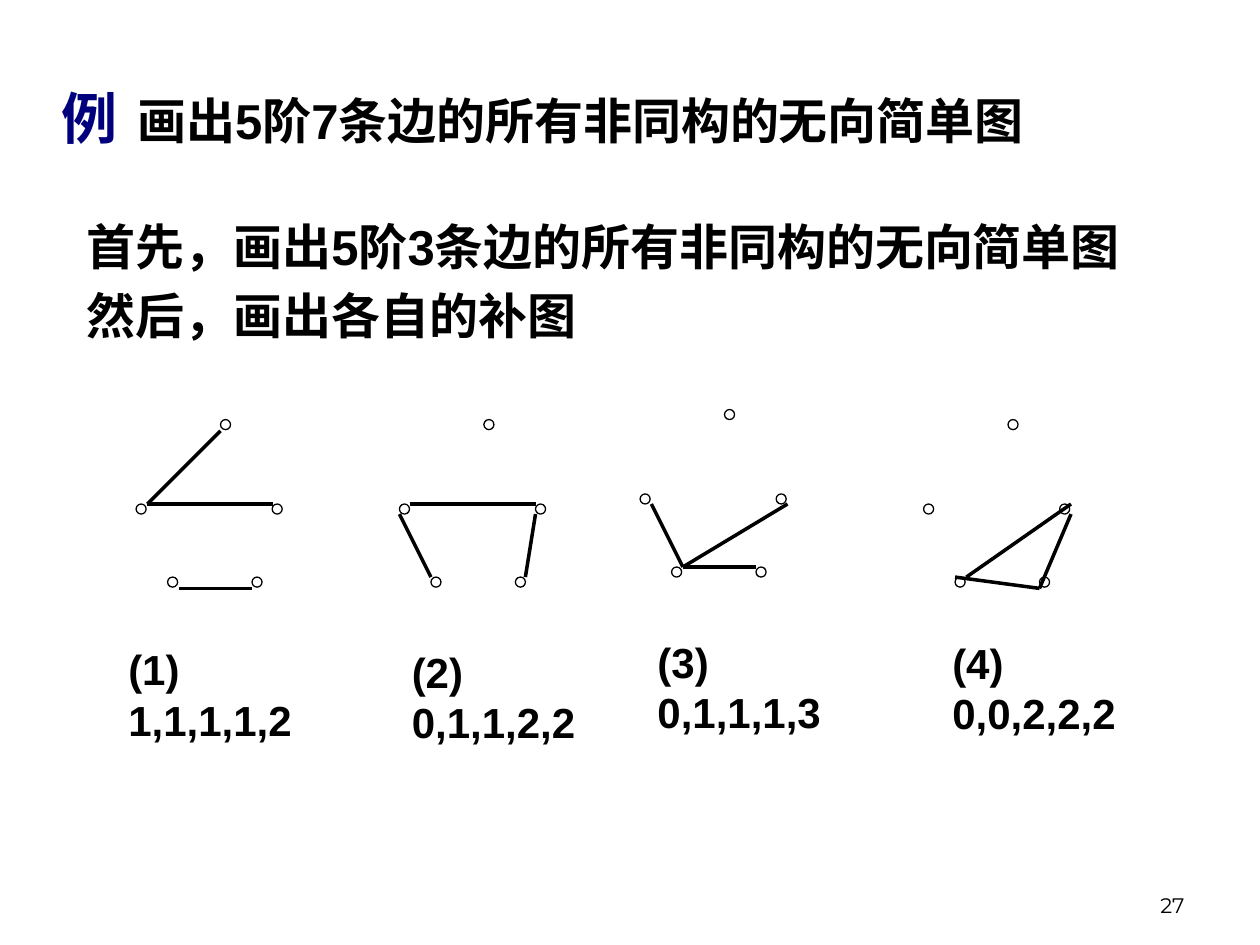
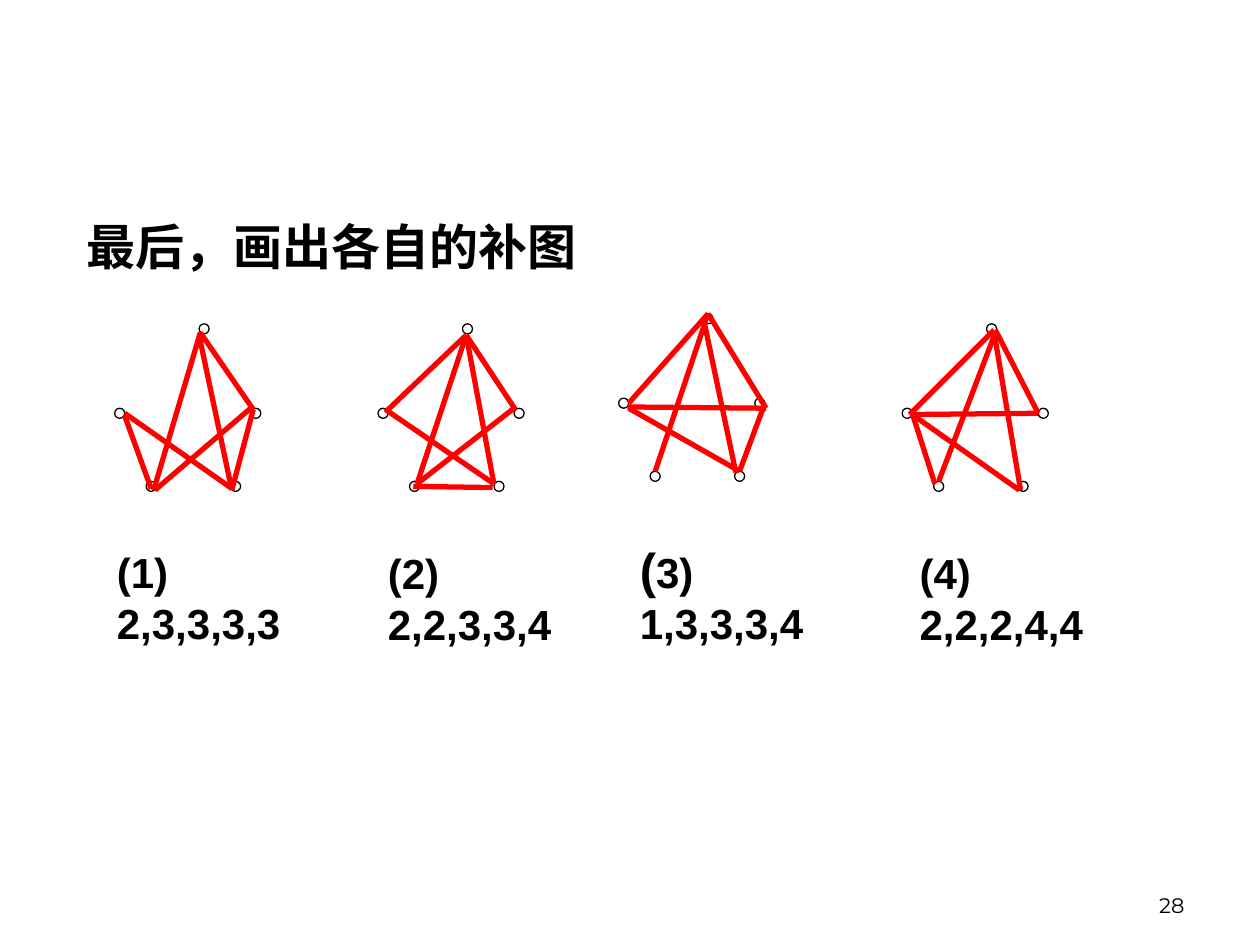
from dataclasses import dataclass

from lxml.etree import SubElement
from pptx import Presentation
from pptx.dml.color import RGBColor
from pptx.enum.shapes import MSO_CONNECTOR, MSO_SHAPE
from pptx.enum.text import MSO_ANCHOR, MSO_AUTO_SIZE as FIT, PP_ALIGN as ALIGN
from pptx.oxml.ns import qn
from pptx.util import Pt

PX = 9144  # 100 px to the inch
BLACK = RGBColor(0x00, 0x00, 0x00)
NAVY = RGBColor(0x00, 0x00, 0x7D)
RED = RGBColor(0xFF, 0x00, 0x00)
BODY_FONT, NUMBER_FONT = "Arial", "Montserrat"
TITLE_ONLY = 5

VERTEX_SIZE = 8
# Vertices relative to a graph's origin: top, left, right, lower left, lower right
VERTICES = [(67, 0), (0, 67), (108, 67), (25, 125), (92, 125)]
ORIGINS = [(108, 333), (317, 333), (508, 325), (733, 333)]
COMPLEMENT_SHIFT = (-17, -76)
LABEL_SIZE = (167, 90)


@dataclass(frozen=True)
class Part:
    """A stretch of text in one format."""
    text: str
    size: int
    color: RGBColor = BLACK


@dataclass(frozen=True)
class Graph:
    label: list[Part]
    label_at: tuple[int, int]
    edges: list[tuple[int, int, int, int]]  # x1, y1, x2, y2


def label(text: str) -> list[Part]:
    return [Part(text, 24)]


GRAPHS = [
    Graph(label("(1) 1,1,1,1,2"), (92, 506),
          [(175, 342, 117, 400), (117, 400, 217, 400), (142, 467, 200, 467)]),
    Graph(label("(2) 0,1,1,2,2"), (317, 508),
          [(325, 400, 425, 400), (425, 408, 417, 458), (317, 408, 342, 458)]),
    Graph(label("(3) 0,1,1,1,3"), (512, 500),
          [(517, 400, 542, 450), (542, 450, 600, 450), (542, 450, 625, 400)]),
    Graph(label("(4) 0,0,2,2,2"), (746, 501),
          [(767, 458, 850, 400), (850, 408, 825, 467), (825, 467, 758, 458)]),
]

COMPLEMENTS = [
    Graph(label("(1) 2,3,3,3,3"), (83, 429),
          [(99, 330, 120, 388), (201, 325, 184, 389), (159, 264, 201, 325),
           (159, 264, 122, 389), (158, 266, 184, 389), (99, 328, 183, 387),
           (123, 389, 199, 324)]),
    Graph(label("(2) 2,2,3,3,4"), (298, 430),
          [(370, 266, 306, 327), (370, 266, 409, 325), (328, 386, 391, 387),
           (370, 266, 331, 384), (370, 266, 392, 384), (306, 325, 392, 384),
           (331, 384, 408, 324)]),
    Graph([Part("(", 28), Part("3) 1,3,3,3,4", 24)], (498, 423),
          [(562, 249, 499, 320), (562, 249, 608, 324), (606, 323, 587, 374),
           (498, 323, 608, 324), (562, 249, 520, 374), (559, 256, 584, 375),
           (499, 324, 587, 374)]),
    Graph(label("(4) 2,2,2,4,4"), (720, 430),
          [(789, 262, 722, 329), (724, 328, 742, 384), (790, 262, 824, 328),
           (723, 329, 824, 328), (790, 264, 745, 382), (789, 264, 810, 389),
           (724, 329, 809, 389)]),
]


def write(frame, *paragraphs: list[Part], font: str = BODY_FONT, bold: bool = True,
          align: ALIGN = ALIGN.LEFT, anchor: MSO_ANCHOR = MSO_ANCHOR.TOP,
          fit: FIT = FIT.SHAPE_TO_FIT_TEXT, space_before: int = 0,
          tab: int | None = None) -> None:
    frame.word_wrap = True
    frame.auto_size = fit
    frame.vertical_anchor = anchor
    for index, parts in enumerate(paragraphs):
        paragraph = frame.add_paragraph() if index else frame.paragraphs[0]
        paragraph.alignment = align
        paragraph.space_before = Pt(space_before if index else 0)
        if tab is not None:
            stops = SubElement(paragraph._p.get_or_add_pPr(), qn("a:tabLst"))
            SubElement(stops, qn("a:tab"), pos=str(tab * PX), algn="l")
        for part in parts:
            run = paragraph.add_run()
            run.text = part.text
            run.font.name = font
            run.font.size = Pt(part.size)
            run.font.bold = bold
            run.font.color.rgb = part.color


def add_text(slide, left: int, top: int, width: int, height: int,
             *paragraphs: list[Part], **text_format) -> None:
    box = slide.shapes.add_textbox(left * PX, top * PX, width * PX, height * PX)
    write(box.text_frame, *paragraphs, **text_format)


def add_slide(prs, number: int, title: list[Part], left: int, top: int,
              width: int, height: int, **text_format):
    slide = prs.slides.add_slide(prs.slide_layouts[TITLE_ONLY])
    heading = slide.shapes.title
    heading.left, heading.top = left * PX, top * PX
    heading.width, heading.height = width * PX, height * PX
    write(heading.text_frame, title, **text_format)
    add_text(slide, 717, 683, 233, 50, [Part(str(number), 12)], font=NUMBER_FONT,
             bold=False, align=ALIGN.RIGHT, anchor=MSO_ANCHOR.BOTTOM, fit=FIT.NONE)
    return slide


def add_vertex(slide, x: int, y: int) -> None:
    vertex = slide.shapes.add_shape(MSO_SHAPE.OVAL, x * PX, y * PX,
                                    VERTEX_SIZE * PX, VERTEX_SIZE * PX)
    vertex.shadow.inherit = False
    vertex.fill.background()
    vertex.line.color.rgb = BLACK
    vertex.line.width = Pt(0.75)


def add_edge(slide, ends: tuple[int, int, int, int], color: RGBColor, weight: int) -> None:
    edge = slide.shapes.add_connector(MSO_CONNECTOR.STRAIGHT, *(end * PX for end in ends))
    edge.line.color.rgb = color
    edge.line.width = Pt(weight)
    SubElement(edge._element.spPr, qn("a:effectLst"))


def add_graphs(slide, graphs: list[Graph], color: RGBColor, weight: int,
               shift: tuple[int, int] = (0, 0)) -> None:
    for graph, (x, y) in zip(graphs, ORIGINS):
        for dx, dy in VERTICES:
            add_vertex(slide, x + shift[0] + dx, y + shift[1] + dy)
        for ends in graph.edges:
            add_edge(slide, ends, color, weight)
        add_text(slide, *graph.label_at, *LABEL_SIZE, graph.label)


def main() -> None:
    prs = Presentation()
    prs.slide_width, prs.slide_height = 1000 * PX, 750 * PX

    question = [Part("例", 32, NAVY), Part("\t画出5阶7条边的所有非同构的无向简单图", 28)]
    example = add_slide(prs, 27, question, 39, 61, 892, 63, tab=60)
    add_graphs(example, GRAPHS, BLACK, 2)
    add_text(example, 59, 167, 874, 113,
             [Part("首先，画出5阶3条边的所有非同构的无向简单图", 28)],
             [Part("然后，画出各自的补图", 28)], space_before=6)

    last_step = [Part("最后，画出各自的补图", 28)]
    answer = add_slide(prs, 28, last_step, 59, 167, 874, 57)
    add_graphs(answer, COMPLEMENTS, RED, 3, COMPLEMENT_SHIFT)

    prs.save("out.pptx")


if __name__ == "__main__":
    main()
